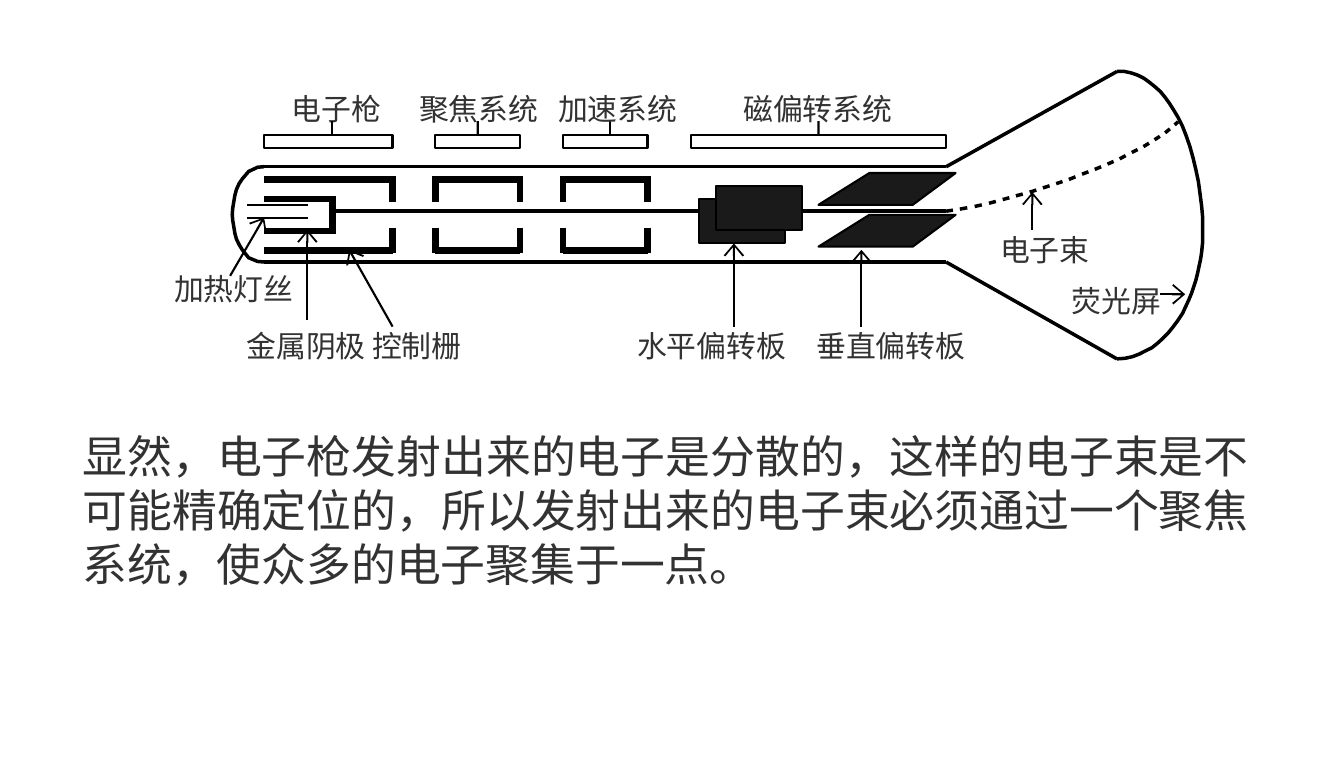
from itertools import pairwise

from pptx import Presentation
from pptx import util as u
from pptx.dml.color import RGBColor
from pptx.enum import shapes, text
from pptx.oxml.ns import qn
from lxml import etree

BLACK = RGBColor(0x00, 0x00, 0x00)
PLATE = RGBColor(0x1A, 0x1A, 0x1A)
INK = RGBColor(0x32, 0x32, 0x32)
FONT = "Noto Sans CJK SC"
THIN, WALL, THICK = 1.12, 1.87, 3.5


class TubeSlide:
    def __init__(self, slide):
        self.slide = slide

    def style_line(self, shape, width):
        shape.line.color.rgb = BLACK
        shape.line.width = u.Pt(width)
        return shape.line._get_or_add_ln()

    def style_area(self, shape, width, fill):
        shape.shadow.inherit = False
        if fill is None:
            shape.fill.background()
        else:
            shape.fill.solid()
            shape.fill.fore_color.rgb = fill
        self.style_line(shape, width)
        return shape

    def line(self, start, end, width=WALL, arrow=False):
        connector = self.slide.shapes.add_connector(
            shapes.MSO_CONNECTOR.STRAIGHT, *map(u.Cm, (*start, *end)))
        ln = self.style_line(connector, width)
        if arrow:
            etree.SubElement(ln, qn("a:tailEnd"), type="arrow", w="lg", len="med")
        etree.SubElement(connector._element.spPr, qn("a:effectLst"))
        return connector

    def outline(self, points, width=WALL, fill=None):
        corners = [(u.Cm(x), u.Cm(y)) for x, y in points]
        builder = self.slide.shapes.build_freeform(*corners[0])
        builder.add_line_segments(corners[1:], close=fill is not None)
        return self.style_area(builder.convert_to_shape(), width, fill)

    def rectangle(self, left, top, width, height, fill=None):
        shape = self.slide.shapes.add_shape(
            shapes.MSO_SHAPE.RECTANGLE, *map(u.Cm, (left, top, width, height)))
        return self.style_area(shape, THIN, fill)

    def section_bar(self, left, right, stem_x):
        bar = self.rectangle(left, 2.55, right - left, 0.24)
        stem = self.line((stem_x, 2.29), (stem_x, 2.55), 1.25)
        if abs(stem_x - (left + right) / 2) < 0.02:
            stem.end_connect(bar, 0)

    def label(self, lines, left, top, width, height=0.76, size=16, inset=0.04,
              gap=0, indent=0, box=None):
        if box is None:
            box = self.slide.shapes.add_textbox(0, 0, 0, 0)
        box.left, box.top, box.width, box.height = map(u.Cm, (left, top, width, height))
        frame = box.text_frame
        frame.word_wrap = True
        frame.auto_size = text.MSO_AUTO_SIZE.NONE
        frame.vertical_anchor = text.MSO_ANCHOR.TOP
        frame.margin_left, frame.margin_top = u.Cm(0.03), u.Cm(inset)
        frame.margin_right = frame.margin_bottom = 0
        for index, words in enumerate(lines):
            paragraph = frame.add_paragraph() if index else frame.paragraphs[0]
            paragraph.alignment = text.PP_ALIGN.LEFT
            paragraph.line_spacing = u.Pt(size * 1.2)
            if index:
                paragraph.space_before = u.Pt(gap)
                paragraph._p.get_or_add_pPr().set("marL", str(u.Cm(indent)))
            run = paragraph.add_run()
            run.text = words
            run.font.size = u.Pt(size)
            run.font.bold = False
            run.font.name = FONT
            run.font.color.rgb = INK
            etree.SubElement(run._r.get_or_add_rPr(), qn("a:ea"), typeface=FONT)
        return frame


def main():
    presentation = Presentation()
    presentation.slide_width = u.Cm(25.4)
    presentation.slide_height = u.Cm(14.3)
    slide = presentation.slides.add_slide(presentation.slide_layouts[5])
    tube = TubeSlide(slide)

    # Explanation
    body = tube.label(
        ["显然，电子枪发射出来的电子是分散的，这样的电子束是不 "
         "可能精确定位的，所以发射出来的电子束必须通过一个聚焦 "
         "系统，使众多的电子聚集于一点。"],
        1.53, 8.05, 22.07, 3.12, size=24, inset=0.05)
    body.paragraphs[0].alignment = text.PP_ALIGN.JUSTIFY

    # Glass neck and its rounded end
    for y in (3.15, 4.95):
        tube.line((4.99, y), (17.88, y))
    tube.outline([
        (4.99, 3.15), (4.87, 3.16), (4.7, 3.24), (4.58, 3.38), (4.52, 3.47),
        (4.47, 3.58), (4.44, 3.69), (4.42, 3.81), (4.4, 3.93), (4.39, 4.05),
        (4.4, 4.17), (4.42, 4.29), (4.44, 4.41), (4.47, 4.52), (4.52, 4.62),
        (4.58, 4.72), (4.7, 4.87), (4.87, 4.94), (4.99, 4.95)])

    # Filament, cathode and straight part of the beam
    for y in (3.87, 4.12):
        tube.line((4.67, y), (5.82, y), THIN)
    for y in (3.76, 4.36):
        tube.line((4.99, y), (6.28, y), THICK)
    tube.line((6.28, 3.7), (6.28, 4.42), THICK)
    for start, end in ((6.28, 13.21), (15.16, 17.88)):
        tube.line((start, 3.99), (end, 3.99))

    # Control grid, focusing and accelerating electrodes
    for left, right, legs in ((4.99, 7.42, (7.42,)), (8.23, 9.83, (8.23, 9.83)),
                              (10.64, 12.24, (10.64, 12.24))):
        for edge, top in ((3.39, 3.33), (4.73, 4.3)):
            tube.line((left, edge), (right, edge), THICK)
            for x in legs:
                tube.line((x, top), (x, top + 0.48), THICK)

    # Deflection plates
    for left, top in ((13.21, 3.76), (13.54, 3.51)):
        tube.rectangle(left, top, 1.62, 0.84, PLATE)
    for top in (3.27, 4.06):
        tube.outline([(18.06, top), (16.43, top), (15.47, top + 0.6), (17.25, top + 0.6)],
                     THIN, PLATE)

    # Cone and screen
    tube.line((17.88, 3.15), (21.11, 1.35))
    tube.line((17.88, 4.95), (21.11, 6.78))
    tube.outline([
        (21.11, 1.35), (21.25, 1.35), (21.38, 1.38), (21.5, 1.42), (21.62, 1.48),
        (21.73, 1.56), (21.83, 1.64), (21.93, 1.73), (22.02, 1.84), (22.1, 1.95),
        (22.17, 2.06), (22.26, 2.21), (22.35, 2.39), (22.42, 2.57), (22.49, 2.77),
        (22.55, 2.99), (22.6, 3.2), (22.65, 3.43), (22.68, 3.66), (22.71, 3.89),
        (22.73, 4.11), (22.73, 4.35)])
    tube.outline([
        (21.11, 6.78), (21.26, 6.77), (21.4, 6.74), (21.53, 6.69), (21.65, 6.63),
        (21.77, 6.57), (21.87, 6.49), (21.97, 6.4), (22.07, 6.3), (22.16, 6.19),
        (22.25, 6.07), (22.35, 5.92), (22.41, 5.79), (22.47, 5.66), (22.52, 5.54),
        (22.56, 5.42), (22.6, 5.3), (22.63, 5.18), (22.66, 5.04), (22.69, 4.9),
        (22.71, 4.77), (22.73, 4.57), (22.73, 4.35)])

    # Deflected beam: each dash runs halfway to the next one
    dash_starts = [
        (17.88, 3.99), (18.14, 3.95), (18.42, 3.9), (18.69, 3.84), (18.95, 3.77),
        (19.2, 3.7), (19.46, 3.63), (19.71, 3.55), (19.96, 3.47), (20.2, 3.39),
        (20.45, 3.29), (20.69, 3.2), (20.93, 3.1), (21.16, 3), (21.39, 2.88),
        (21.61, 2.77), (21.82, 2.64), (22.02, 2.51), (22.2, 2.36), (22.33, 2.24)]
    for (x, y), (next_x, next_y) in pairwise(dash_starts):
        tube.line((x, y), ((x + next_x) / 2, (y + next_y) / 2))

    # Section bars with their names
    for left, right, stem_x in ((4.99, 7.42, 6.28), (8.23, 9.83, 9.03),
                                (10.64, 12.24, 11.53), (13.06, 17.88, 15.47)):
        tube.section_bar(left, right, stem_x)
    title = tube.label(["电子枪\t聚焦系统"], 5.48, 1.68, 4.7, box=slide.shapes.title)
    tabs = etree.SubElement(title.paragraphs[0]._p.get_or_add_pPr(), qn("a:tabLst"))
    etree.SubElement(tabs, qn("a:tab"), pos=str(u.Cm(2.41)), algn="l")

    # Part names
    for words, left, top, width in (
            ("加速系统", 10.52, 1.68, 2.34), ("磁偏转系统", 14.02, 1.68, 2.9),
            ("加热灯丝", 3.26, 5.08, 2.34), ("金属阴极 控制栅", 4.63, 6.15, 4.22),
            ("水平偏转板", 12.01, 6.15, 2.9), ("垂直偏转板", 15.4, 6.15, 2.9)):
        tube.label([words], left, top, width)
    tube.label(["电子束", "荧光屏"], 18.87, 4.06, 3.15, 2.01,
               inset=0.32, gap=8.2, indent=1.36)

    # Arrows from names to parts
    for start, tip in (
            ((4.35, 5.21), (4.99, 4.11)), ((5.81, 6.05), (5.81, 4.34)),
            ((7.42, 6.17), (6.6, 4.72)), ((13.87, 6.17), (13.87, 4.6)),
            ((16.28, 6.17), (16.28, 4.72)), ((19.51, 4.34), (19.51, 3.63)),
            ((21.92, 5.56), (22.4, 5.56))):
        tube.line(start, tip, THIN, arrow=True)

    presentation.save("out.pptx")


if __name__ == "__main__":
    main()
